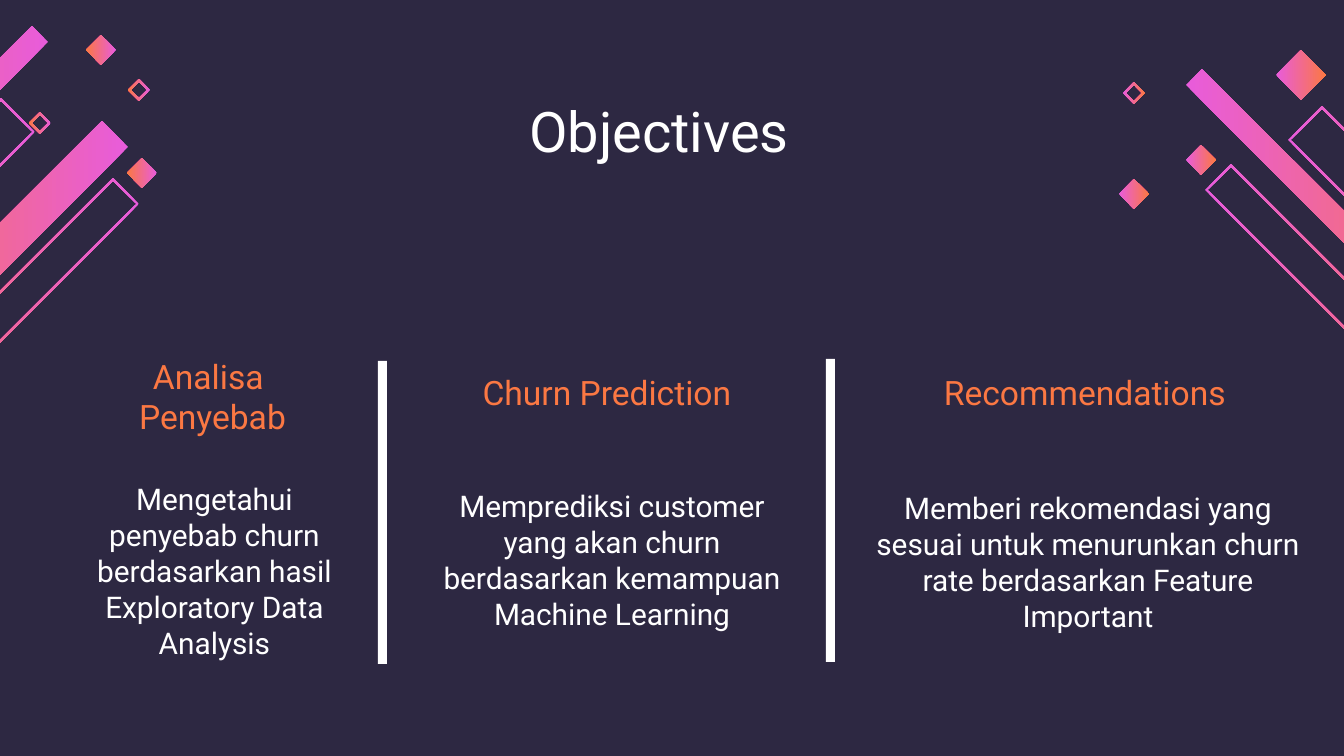
from pptx import Presentation
from pptx.dml.color import RGBColor
from pptx.enum.shapes import MSO_SHAPE as Shape
from pptx.enum.text import MSO_ANCHOR as Anchor, PP_ALIGN as Align
from pptx.util import Pt

EMU_PER_PX = 914400 / 134.4
COLORS = {"night": "2D2842", "pink": "E85CDB", "orange": "FB7843", "white": "FFFFFF"}
FONT = "Roboto"
RIGHT, LEFT = 1, -1
RIM = 3

# Top corner x, y, short side, long side (sides measured along one axis), hollow
RIGHT_BARS = [
    (1322, 106, 34, 262, True),
    (1202, 69, 16, 316, False),
    (1231, 164, 26, 299, True),
    (1201, 145, 15, 15, False),
    (1134, 82, 11, 11, True),
    (1301, 50, 25, 25, False),
    (1134, 179, 15, 15, False),
]
LEFT_BARS = [
    (102, 121, 26, 279, False),
    (32, 26, 16, 316, False),
    (113, 178, 26, 299, True),
    (142, 158, 15, 15, False),
    (139, 79, 11, 11, True),
    (101, 35, 15, 15, False),
    (1, 98, 34, 262, True),
    (40, 112, 11, 11, True),
]
# Text, then left, top, width, height
HEADINGS = [
    ("Analisa \nPenyebab", (-44, 343, 513, 70)),
    ("Churn Prediction", (375, 359, 464, 70)),
    ("Recommendations", (857, 359, 456, 70)),
]
GOALS = [
    ("Mengetahui penyebab churn berdasarkan hasil Exploratory Data Analysis",
     (70, 468, 289, 138)),
    ("Memprediksi customer yang akan churn berdasarkan kemampuan Machine Learning",
     (417, 475, 390, 138)),
    ("Memberi rekomendasi yang sesuai untuk menurunkan churn rate berdasarkan "
     "Feature Important", (857, 477, 462, 138)),
]
DIVIDERS = [(378, 361, 9, 303), (826, 359, 9, 303)]


def px(length):
    return round(length * EMU_PER_PX)


def color(name):
    return RGBColor.from_string(COLORS[name])


def slanted_corners(x, y, short, long, side):
    """Corners of a rectangle at 45 degrees whose long side runs down to the given side."""
    return [
        (x, y),
        (x - side * short, y + short),
        (x + side * (long - short), y + short + long),
        (x + side * long, y + long),
    ]


class Painter:
    def __init__(self, slide):
        self.slide = slide
        self.shapes = slide.shapes

    def background(self, name):
        fill = self.slide.background.fill
        fill.solid()
        fill.fore_color.rgb = color(name)

    def slanted_bar(self, x, y, short, long, hollow, side):
        rings = [slanted_corners(x, y, short, long, side)]
        if hollow:
            rings.append(slanted_corners(x, y + RIM, short - RIM, long - RIM, side))
        builder = self.shapes.build_freeform(*rings[0][0], scale=EMU_PER_PX)
        builder.add_line_segments(rings[0][1:])
        for ring in rings[1:]:
            builder.move_to(*ring[0])
            builder.add_line_segments(ring[1:])
        bar = builder.convert_to_shape()
        bar.shadow.inherit = False
        bar.line.fill.background()
        bar.fill.gradient()
        bar.fill.gradient_angle = 0 if side == RIGHT else 180
        for stop, name in zip(bar.fill.gradient_stops, ("pink", "orange")):
            stop.color.rgb = color(name)

    def divider(self, bounds):
        divider = self.shapes.add_shape(Shape.RECTANGLE, *map(px, bounds))
        divider.shadow.inherit = False
        divider.fill.solid()
        divider.fill.fore_color.rgb = color("white")
        divider.line.fill.background()

    def text(self, text, bounds, size, name, anchor=Anchor.TOP):
        frame = self.shapes.add_textbox(*map(px, bounds)).text_frame
        frame.word_wrap = True
        frame.vertical_anchor = anchor
        frame.margin_left = frame.margin_right = px(13)
        frame.margin_top = frame.margin_bottom = px(13)
        frame.text = text
        for para in frame.paragraphs:
            para.alignment = Align.CENTER
            for span in para.runs:
                span.font.name = FONT
                span.font.size = Pt(size)
                span.font.color.rgb = color(name)


def main():
    deck = Presentation()
    deck.slide_width, deck.slide_height = px(1344), px(756)
    painter = Painter(deck.slides.add_slide(deck.slide_layouts[6]))
    painter.background("night")
    for side, bars in ((RIGHT, RIGHT_BARS), (LEFT, LEFT_BARS)):
        for bar in bars:
            painter.slanted_bar(*bar, side)
    painter.text("Objectives", (349, 75, 620, 110), 30, "white", Anchor.MIDDLE)
    for heading, bounds in HEADINGS:
        painter.text(heading, bounds, 18, "orange")
    for goal, bounds in GOALS:
        painter.text(goal, bounds, 16, "white")
    for bounds in DIVIDERS:
        painter.divider(bounds)
    deck.save("out.pptx")


if __name__ == "__main__":
    main()
